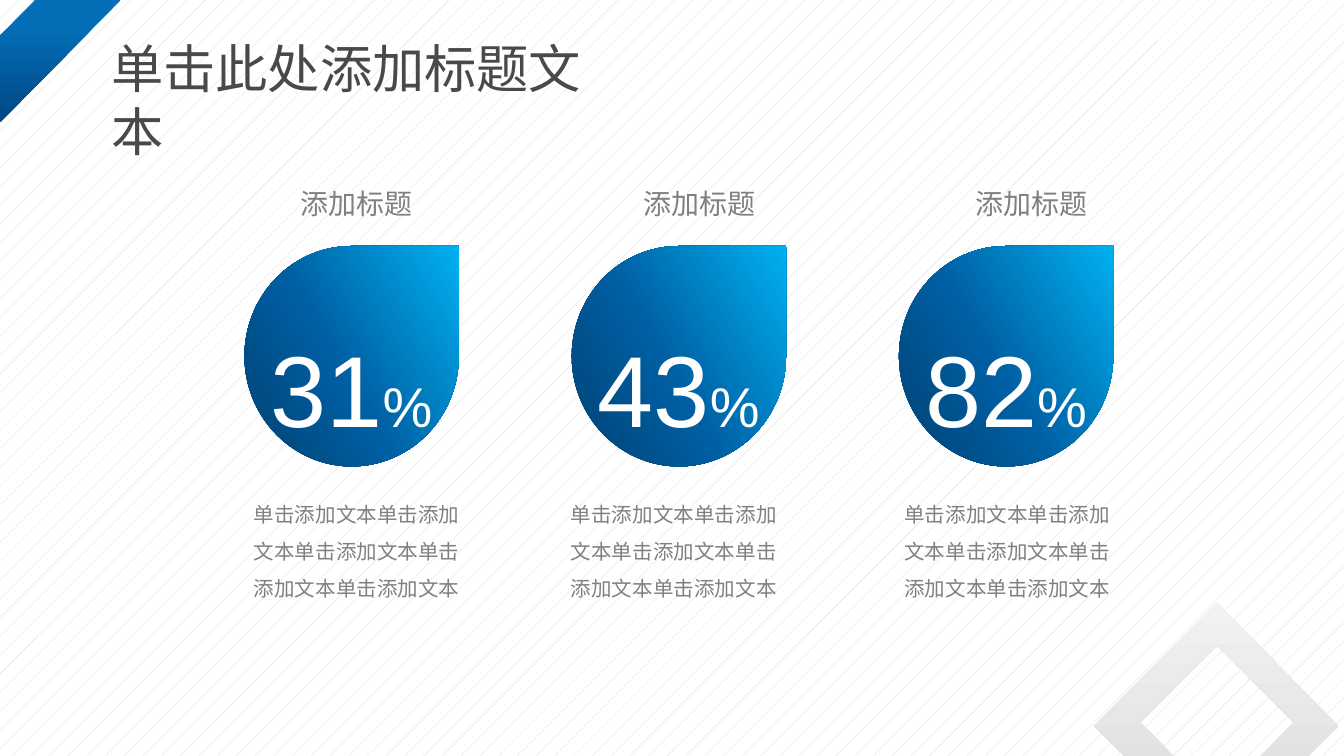
from lxml.etree import SubElement
from pptx import Presentation
from pptx.dml.color import RGBColor
from pptx.enum.dml import MSO_PATTERN
from pptx.enum.shapes import MSO_SHAPE
from pptx.enum.text import MSO_ANCHOR, PP_ALIGN
from pptx.oxml.ns import qn
from pptx.util import Pt

COLORS = {
    "white": "FFFFFF", "title": "47494B", "text": "808080",
    "silver": "D9D9D9", "mist": "F2F2F2",
    "stripe": "046FB6", "stripe_deep": "004785",
    "navy": "004272", "blue": "005EA2", "sky": "00B0F0",
}
DROP_LEFT, DROP_STEP = 131, 175.3
COLUMNS = [("31", 155.5, 130.3), ("43", 339.1, 300.2), ("82", 517, 478.8)]
CAPTION = "添加标题"
DESCRIPTION = ["单击添加文本单击添加", "文本单击添加文本单击", "添加文本单击添加文本"]


def rgb(name):
    return RGBColor.from_string(COLORS[name])


def paint_gradient(shape, stops, angle):
    shape.shadow.inherit = False
    shape.line.fill.background()
    shape.fill.gradient()
    shape.fill.gradient_angle = angle
    stop_list = shape.fill._xPr.find(qn("a:gradFill")).find(qn("a:gsLst"))
    for old_stop in list(stop_list):
        stop_list.remove(old_stop)
    for percent, name in stops:
        stop = SubElement(stop_list, qn("a:gs"), pos=str(percent * 1000))
        SubElement(stop, qn("a:srgbClr"), val=COLORS[name])


def set_frame(frame, **settings):
    margins = {"margin_left": Pt(5), "margin_right": Pt(5),
               "margin_top": Pt(3), "margin_bottom": Pt(3),
               "vertical_anchor": MSO_ANCHOR.TOP}
    for name, value in (margins | settings).items():
        setattr(frame, name, value)


def add_run(paragraph, text, size, color, font="Arial"):
    run = paragraph.add_run()
    run.text = text
    for name, value in {"size": Pt(size), "name": font}.items():
        setattr(run.font, name, value)
    run.font.color.rgb = rgb(color)


def add_text(slide, box, lines, size, color, font="Arial",
             align=PP_ALIGN.CENTER, spacing=None, **settings):
    frame = slide.shapes.add_textbox(*map(Pt, box)).text_frame
    set_frame(frame, **settings)
    for index, line in enumerate(lines):
        paragraph = frame.add_paragraph() if index else frame.paragraphs[0]
        paragraph.alignment = align
        paragraph.line_spacing = spacing
        add_run(paragraph, line, size, color, font)


def diamond(x, y, radius):
    return [(x, y - radius), (x + radius, y), (x, y + radius), (x - radius, y)]


def add_corner_decor(slide):
    outer = diamond(651.6, 388.8, 65.5)
    inner = diamond(651.8, 387.4, 41.2)
    builder = slide.shapes.build_freeform(*outer[0], scale=Pt(1))
    builder.add_line_segments(outer[1:], close=True)
    builder.move_to(*inner[0])
    builder.add_line_segments(inner[1:], close=True)
    paint_gradient(builder.convert_to_shape(), [(0, "silver"), (100, "mist")], 90)

    stripe = slide.shapes.add_shape(MSO_SHAPE.DIAGONAL_STRIPE, 0, 0, Pt(64.8), Pt(65.5))
    stripe.adjustments[0] = 0.29
    paint_gradient(stripe, [(20, "stripe"), (100, "stripe_deep")], 270)


def add_drop(slide, left, number):
    drop = slide.shapes.add_shape(MSO_SHAPE.TEAR, Pt(left), Pt(131.8), Pt(114.8), Pt(118.1))
    paint_gradient(drop, [(0, "navy"), (44, "blue"), (100, "sky")], 30)
    set_frame(drop.text_frame, word_wrap=False, margin_top=Pt(26))
    paragraph = drop.text_frame.paragraphs[0]
    paragraph.alignment = PP_ALIGN.CENTER
    add_run(paragraph, number, 54, "white")
    add_run(paragraph, "%", 30, "white")


def main():
    deck = Presentation()
    deck.slide_width, deck.slide_height = Pt(720), Pt(405)
    slide = deck.slides.add_slide(deck.slide_layouts[6])
    backdrop = slide.background.fill
    backdrop.patterned()
    backdrop.pattern = MSO_PATTERN.PERCENT_5
    backdrop.fore_color.rgb = rgb("silver")
    backdrop.back_color.rgb = rgb("white")

    add_corner_decor(slide)
    for index, (number, caption_left, description_left) in enumerate(COLUMNS):
        add_drop(slide, DROP_LEFT + index * DROP_STEP, number)
        add_text(slide, (description_left, 250.6, 121.7, 74.9), DESCRIPTION, 11, "text",
                 spacing=1.5, word_wrap=False, margin_top=Pt(11.5))
        add_text(slide, (caption_left, 97.2, 71.3, 23.8), [CAPTION], 15, "text",
                 word_wrap=False)
    add_text(slide, (52.6, 15.8, 292.3, 41), ["单击此处添加标题文本"], 28, "title",
             font="Noto Sans CJK JP", align=PP_ALIGN.LEFT, word_wrap=True,
             margin_left=Pt(7.2), margin_right=Pt(7.2), margin_top=Pt(3.6))

    deck.save("out.pptx")


if __name__ == "__main__":
    main()
